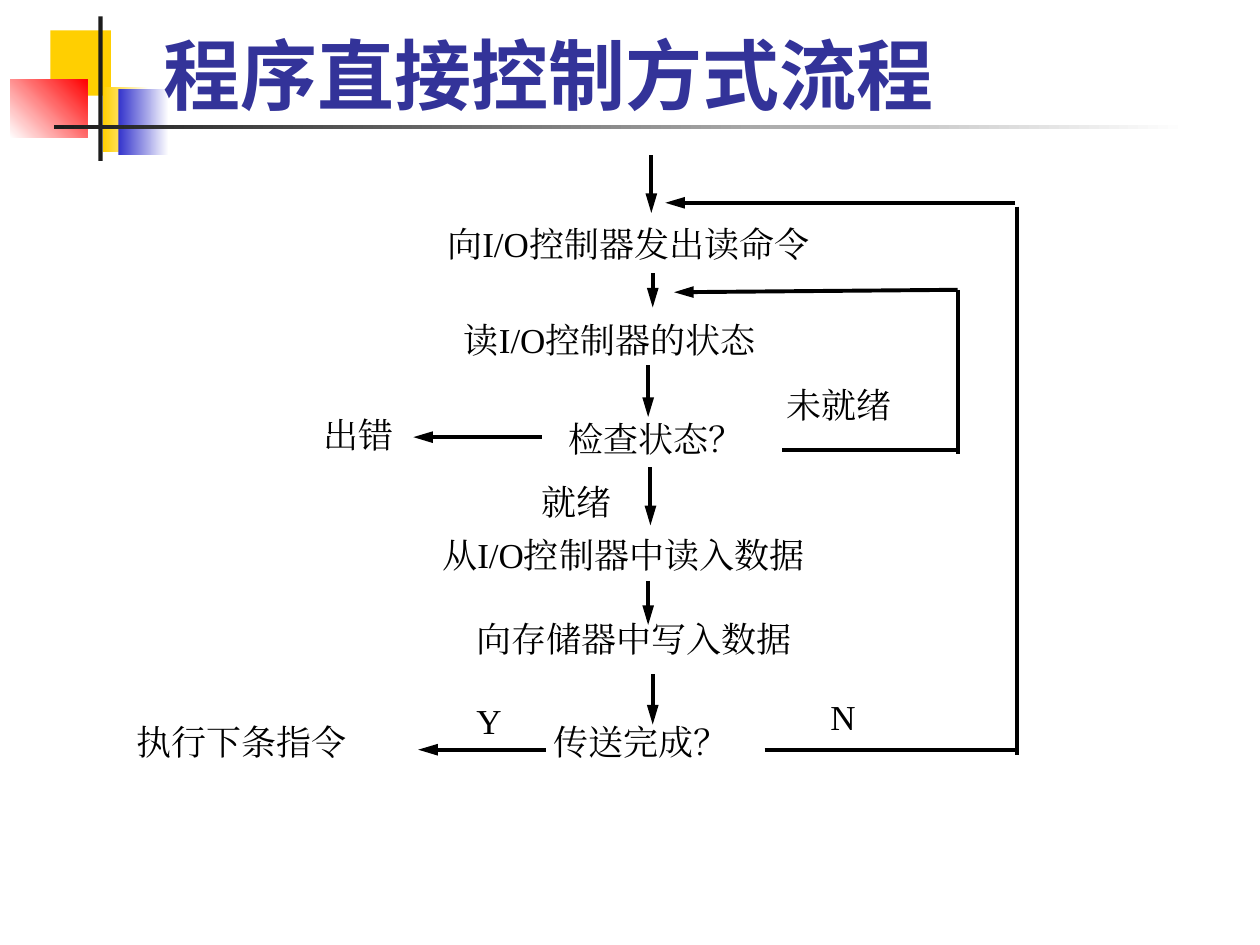
from lxml import etree
from pptx import Presentation
from pptx.dml.color import RGBColor
from pptx.enum import lang, shapes, text
from pptx.oxml.ns import qn
from pptx.util import Pt

# Theme
THEME = {
    "title": {"name": "Roboto", "size": 44, "bold": True, "color": "333399"},
    "body": {"name": "Times New Roman", "size": 20, "bold": False, "color": "000000"},
    "line": "000000",
    "line_width": 2.25,
}

# Content: all lengths in points
TITLE = ("程序直接控制方式流程", (86.4, 12.2, 613.4, 59.8))

# (left, top, width, height), colours, gradient angle
ORNAMENTS = [
    ((28.8, 17.3, 34.6, 37.4), ["FFCF01"], 0),
    ((59, 49.7, 25.9, 37.4), ["FFCF01", "FFFFFF"], 0),
    ((67.7, 51.1, 28.8, 37.4), ["3333CC", "FFFFFF"], 0),
    ((5.8, 45.2, 44.2, 33.6), ["FFFFFF", "FF0000"], 45),
    ((56.2, 9.4, 2.4, 82.6), ["1C1C1C"], 0),
    ((31, 71.3, 648, 2.2), ["1C1C1C", "FFFFFF"], 0),
]

LABELS = [
    ("向I/O控制器发出读命令", (255.6, 127.4, 261.4, 33.1)),
    ("读I/O控制器的状态", (265, 182.2, 224.6, 31.7)),
    ("检查状态？", (324.7, 238.3, 128.2, 32.4)),
    ("从I/O控制器中读入数据", (252.7, 304.6, 271.4, 31)),
    ("向存储器中写入数据", (272.2, 352.8, 237.6, 33.1)),
    ("传送完成？", (316.1, 411.8, 131.8, 31)),
    ("出错", (185, 236.2, 59, 33.1)),
    ("就绪", (309.6, 274.3, 56.2, 33.1)),
    ("未就绪", (449.3, 218.9, 82.1, 31)),
    ("执行下条指令", (77.8, 411.8, 159.1, 28.1)),
    ("Y", (272.2, 399.6, 28.8, 33.1)),
    ("N", (474.5, 397.4, 28.8, 31)),
]

# Downward steps of the main flow: x, top, bottom
STEPS = [
    (372.2, 88.6, 121.7),
    (373, 156.2, 175.7),
    (370.4, 208.8, 238.3),
    (371.7, 267.1, 300.2),
    (370.4, 331.9, 357.1),
    (373, 385.2, 414),
]
ARROWS = [(x, top, x, bottom) for x, top, bottom in STEPS] + [
    (547.2, 165.6, 385.2, 167),     # back to reading the status
    (580.3, 115.9, 380.2, 115.9),   # back to the read command
    (309.6, 249.8, 236.2, 249.8),   # to the error exit
    (311.8, 428.4, 239, 428.4),     # to the next instruction
]
LOOP_LINES = [
    (447.1, 257, 546.8, 257),
    (547.2, 165.6, 547.2, 259.2),
    (437, 428.4, 581.8, 428.4),
    (581, 118.1, 581, 431.3),
]


def rgb(value):
    return RGBColor.from_string(value)


def place(part, box):
    for side, value in zip(("left", "top", "width", "height"), box):
        setattr(part, side, Pt(value))


def write(frame, wording, style, frame_format, align):
    for key, value in frame_format.items():
        setattr(frame, key, value)
    paragraph = frame.paragraphs[0]
    paragraph.alignment = align
    run = paragraph.add_run()
    run.text = wording
    font_format = {"name": style["name"], "size": Pt(style["size"]),
                   "bold": style["bold"],
                   "language_id": lang.MSO_LANGUAGE_ID.SIMPLIFIED_CHINESE}
    for key, value in font_format.items():
        setattr(run.font, key, value)
    run.font.color.rgb = rgb(style["color"])
    latin = run.font._element.find(qn("a:latin"))
    east_asian = etree.Element(qn("a:ea"), typeface=style["name"])
    latin.addnext(east_asian)


def add_ornament(slide, box, colours, angle):
    block = slide.shapes.add_shape(shapes.MSO_SHAPE.RECTANGLE, *map(Pt, box))
    block.shadow.inherit = False
    block.line.fill.background()
    if len(colours) == 1:
        block.fill.solid()
        block.fill.fore_color.rgb = rgb(colours[0])
    else:
        block.fill.gradient()
        block.fill.gradient_angle = angle
        for stop, colour in zip(block.fill.gradient_stops, colours):
            stop.color.rgb = rgb(colour)


def add_line(slide, ends, arrow=False):
    link = slide.shapes.add_connector(shapes.MSO_CONNECTOR.STRAIGHT, *map(Pt, ends))
    link.line.width = Pt(THEME["line_width"])
    link.line.color.rgb = rgb(THEME["line"])
    if arrow:
        etree.SubElement(link.line._get_or_add_ln(), qn("a:tailEnd"),
                         type="triangle", w="med", len="lg")
    etree.SubElement(link._element.spPr, qn("a:effectLst"))


def main():
    deck = Presentation()
    deck.slide_width, deck.slide_height = Pt(720), Pt(540)
    slide = deck.slides.add_slide(deck.slide_layouts[5])

    # Corner ornament and rule, kept behind the title
    title = slide.shapes.title
    for ornament in ORNAMENTS:
        add_ornament(slide, *ornament)
    slide.shapes._spTree.append(title._element)

    # Title
    wording, box = TITLE
    place(title, box)
    write(title.text_frame, wording, THEME["title"],
          {"vertical_anchor": text.MSO_ANCHOR.BOTTOM, "word_wrap": True,
           "auto_size": text.MSO_AUTO_SIZE.NONE}, text.PP_ALIGN.LEFT)

    # Flow labels
    label_format = {"word_wrap": True, "vertical_anchor": text.MSO_ANCHOR.TOP}
    for side in ("left", "top", "right", "bottom"):
        label_format["margin_" + side] = 0
    for wording, box in LABELS:
        label = slide.shapes.add_textbox(*map(Pt, box))
        write(label.text_frame, wording, THEME["body"], label_format,
              text.PP_ALIGN.JUSTIFY)

    # Flow arrows and loop lines
    for ends in ARROWS:
        add_line(slide, ends, arrow=True)
    for ends in LOOP_LINES:
        add_line(slide, ends)

    deck.save("out.pptx")


if __name__ == "__main__":
    main()
